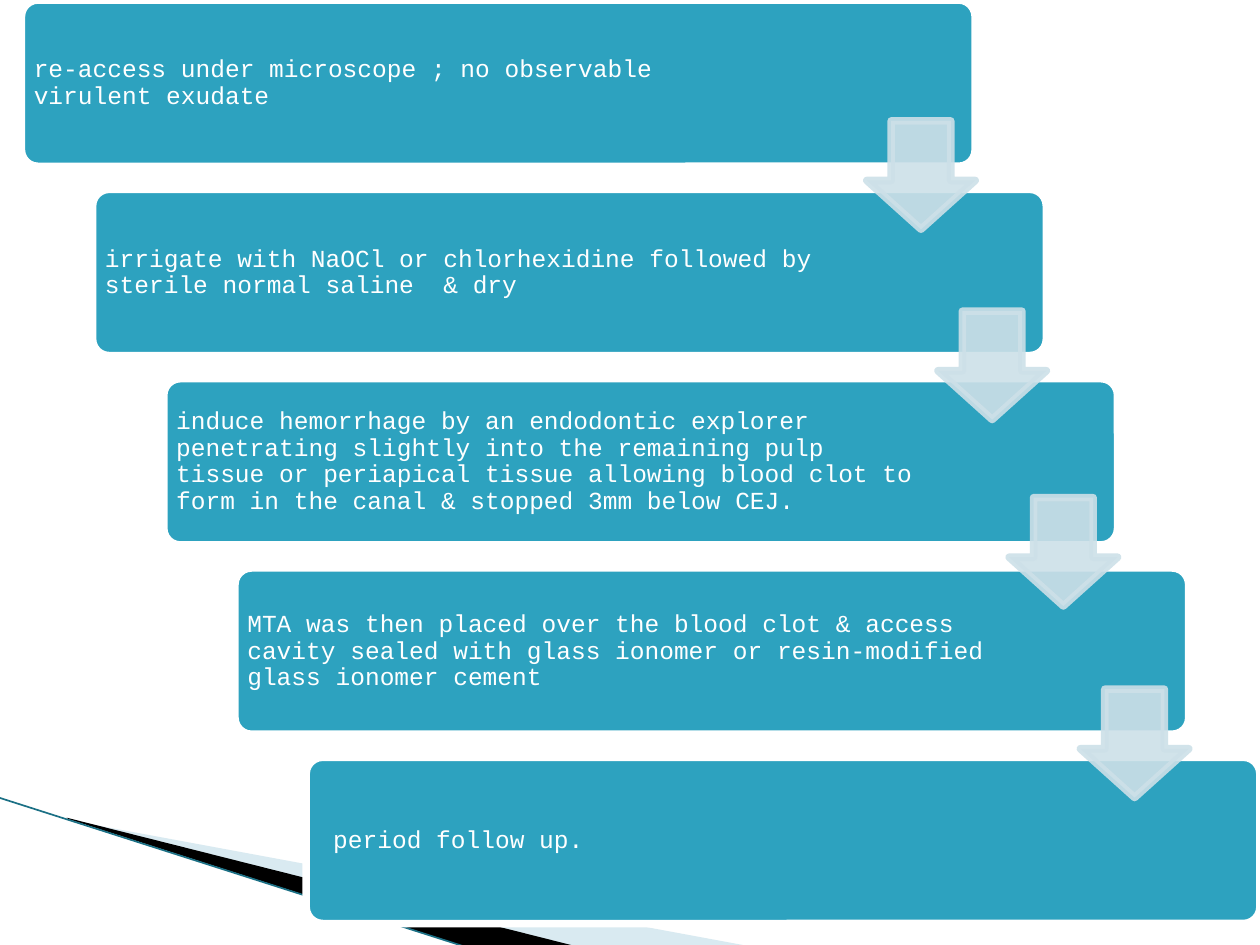
from lxml import etree
from pptx import Presentation
from pptx.dml.color import RGBColor
from pptx.enum.shapes import MSO_CONNECTOR, MSO_SHAPE
from pptx.enum.text import MSO_ANCHOR, PP_ALIGN
from pptx.oxml.ns import qn
from pptx.util import Inches, Pt

BOX, ARROW = MSO_SHAPE.ROUNDED_RECTANGLE, MSO_SHAPE.DOWN_ARROW
LINE = MSO_CONNECTOR.STRAIGHT
MIDDLE, LEFT = MSO_ANCHOR.MIDDLE, PP_ALIGN.LEFT

STEPS = [
    "re-access under microscope ; no observable virulent exudate",
    "irrigate with NaOCl or chlorhexidine followed by sterile normal saline  & dry",
    "induce hemorrhage by an endodontic explorer penetrating slightly into the "
    "remaining pulp tissue or periapical tissue allowing blood clot to form in "
    "the canal & stopped 3mm below CEJ.",
    "MTA was then placed over the blood clot & access cavity sealed with glass "
    "ionomer or resin-modified glass ionomer cement",
    " period follow up.",
]
DROPS = [0.96, 2.47, 3.95, 5.47]
WEDGES = [
    ([(0.55, 6.51), (5.95, 7.51), (4.56, 7.51), (0.55, 6.5)], "A0CBDC", 40),
    ([(0.53, 6.49), (4.57, 7.51), (3.72, 7.52), (0.54, 6.5)], "000000", 100),
]
WIDE, HIGH, SIDE = 7.57, 1.32, 0.86
START = 0.17
ACROSS = (10 - WIDE - START) / (len(STEPS) - 1)
DOWN = 6.01 / (len(STEPS) - 1)
EDGE = 4.33


def paint(fmt, color, alpha=100):
    fmt.solid()
    fmt.fore_color.rgb = RGBColor.from_string(color)
    if alpha < 100:
        tint = fmt._xPr.find(qn("a:solidFill"))[0]
        etree.SubElement(tint, qn("a:alpha"), val=str(alpha * 1000))


def add_shape(kind, x, y, w, h, fill, edge, alpha=100):
    shape = slide.shapes.add_shape(kind, Inches(x), Inches(y), Inches(w), Inches(h))
    shape.shadow.inherit = False
    paint(shape.fill, fill, alpha)
    paint(shape.line.fill, edge, alpha)
    shape.line.width = Pt(EDGE)
    return shape


def add_wedge(points, color, alpha):
    spots = [(Inches(x), Inches(y)) for x, y in points]
    build = slide.shapes.build_freeform(*spots[0])
    build.add_line_segments(spots[1:], close=True)
    wedge = build.convert_to_shape()
    wedge.shadow.inherit = False
    paint(wedge.fill, color, alpha)
    wedge.line.fill.background()


def add_step(index, text):
    box = add_shape(BOX, START + index * ACROSS, index * DOWN, WIDE, HIGH,
                    "2DA2BF", "FFFFFF")
    box.adjustments[0] = 0.1
    frame = box.text_frame
    frame.word_wrap = True
    frame.vertical_anchor = MIDDLE
    frame.margin_left = frame.margin_top = frame.margin_bottom = Inches(0.06)
    frame.margin_right = Inches(1.55)
    para = frame.paragraphs[0]
    para.text = text
    para.alignment = LEFT
    para.line_spacing = 0.9
    para.font.name = "Courier New"
    para.font.size = Pt(14)
    para.font.color.rgb = RGBColor.from_string("FFFFFF")


def add_drop(index, top):
    left = START + index * ACROSS + WIDE - SIDE
    arrow = add_shape(ARROW, left, top, SIDE, SIDE, "CDE0E8", "CDE0E8", 90)
    arrow.adjustments[0] = 0.55
    arrow.adjustments[1] = 0.45


deck = Presentation()
deck.slide_width, deck.slide_height = Inches(10), Inches(7.5)
slide = deck.slides.add_slide(deck.slide_layouts[6])

for wedge in WEDGES:
    add_wedge(*wedge)
slope = slide.shapes.add_connector(LINE, Inches(-0.01), Inches(6.33),
                                   Inches(3.71), Inches(7.52))
paint(slope.line.fill, "1B7085")
slope.line.width = Pt(0.95)
etree.SubElement(slope._element.spPr, qn("a:effectLst"))

for index, text in enumerate(STEPS):
    add_step(index, text)
for index, top in enumerate(DROPS):
    add_drop(index, top)

deck.save("out.pptx")
